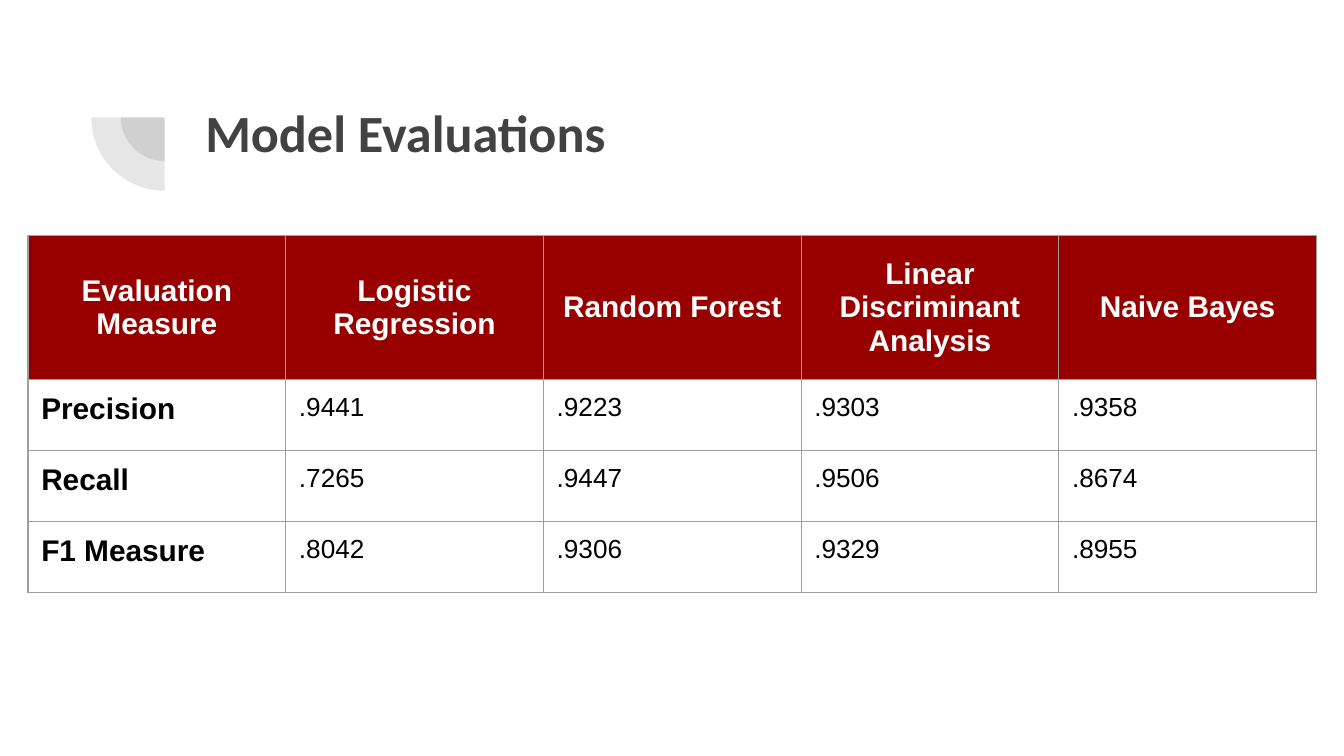
"""Build the model evaluation slide with its corner ornament, title and table."""
from dataclasses import dataclass

from lxml.etree import SubElement
from pptx import Presentation
from pptx.dml.color import RGBColor
from pptx.enum.shapes import MSO_SHAPE as Preset
from pptx.enum.text import MSO_ANCHOR as Anchor, PP_ALIGN as Align
from pptx.oxml.ns import qn
from pptx.util import Cm, Pt


@dataclass(frozen=True)
class Theme:
    ink: str = "424242"
    header: str = "980000"
    border: str = "9E9E9E"
    white: str = "FFFFFF"
    black: str = "000000"
    title_font: str = "Calibri"
    table_font: str = "Arial"
    title_size: int = 28
    label_size: int = 16
    value_size: int = 14
    border_width: float = 0.75
    ornament_opacity: int = 13


THEME = Theme()
INSET = Cm(0.25)
ROWS = [
    ["Evaluation Measure", "Logistic Regression", "Random Forest",
     "Linear Discriminant Analysis", "Naive Bayes"],
    ["Precision", ".9441", ".9223", ".9303", ".9358"],
    ["Recall", ".7265", ".9447", ".9506", ".8674"],
    ["F1 Measure", ".8042", ".9306", ".9329", ".8955"],
]


def set_margins(target):
    target.margin_left = target.margin_right = INSET
    target.margin_top = target.margin_bottom = INSET


def write(text_frame, text, font_name, size, color, bold):
    paragraph = text_frame.paragraphs[0]
    paragraph.text = text
    font = paragraph.font
    font.name, font.size, font.bold = font_name, Pt(size), bold
    font.color.rgb = RGBColor.from_string(color)
    return paragraph


def add_quarter(group, diameter):
    center_x, center_y = Cm(3.11), Cm(2.22)
    shape = group.shapes.add_shape(
        Preset.PIE, center_x - diameter // 2, center_y - diameter // 2,
        diameter, diameter)
    shape.rotation = 270
    shape.adjustments[0], shape.adjustments[1] = 108, 162
    shape.shadow.inherit = False
    shape.fill.solid()
    shape.fill.fore_color.rgb = RGBColor.from_string(THEME.ink)
    color = shape.fill._xPr.find(".//" + qn("a:srgbClr"))
    SubElement(color, qn("a:alpha"), val=str(THEME.ornament_opacity * 1000))
    shape.line.fill.background()


def add_ornament(slide):
    group = slide.shapes.add_group_shape()
    for diameter in (Cm(1.65), Cm(2.77)):
        add_quarter(group, diameter)


def add_title(slide, text):
    text_frame = slide.shapes.add_textbox(
        Cm(3.63), Cm(1.65), Cm(19.53), Cm(2.77)).text_frame
    text_frame.word_wrap = True
    set_margins(text_frame)
    write(text_frame, text, THEME.title_font, THEME.title_size, THEME.ink, True)


def add_borders(cell):
    properties = cell._tc.get_or_add_tcPr()
    for side in ("lnL", "lnR", "lnT", "lnB"):
        line = SubElement(properties, qn(f"a:{side}"), w=str(Pt(THEME.border_width)))
        fill = SubElement(line, qn("a:solidFill"))
        SubElement(fill, qn("a:srgbClr"), val=THEME.border)


def fill_cell(cell, text, is_header, is_label):
    set_margins(cell)
    add_borders(cell)
    size = THEME.label_size if is_label else THEME.value_size
    color = THEME.white if is_header else THEME.black
    paragraph = write(cell.text_frame, text, THEME.table_font, size, color, is_label)
    if is_header:
        paragraph.alignment = Align.CENTER
        cell.vertical_anchor = Anchor.MIDDLE
        cell.fill.solid()
        cell.fill.fore_color.rgb = RGBColor.from_string(THEME.header)
    else:
        cell.fill.background()


def add_evaluation_table(slide, rows):
    column_width, header_height, row_height = Cm(4.87), Cm(2.73), Cm(1.34)
    column_count, body_count = len(rows[0]), len(rows) - 1
    table = slide.shapes.add_table(
        len(rows), column_count, Cm(0.53), Cm(4.45), column_width * column_count,
        header_height + row_height * body_count).table
    table.horz_banding = False
    for column in table.columns:
        column.width = column_width
    for row_index, values in enumerate(rows):
        is_header = row_index == 0
        table.rows[row_index].height = header_height if is_header else row_height
        for column_index, text in enumerate(values):
            fill_cell(table.cell(row_index, column_index), text,
                      is_header, is_header or column_index == 0)


def main():
    presentation = Presentation()
    presentation.slide_width, presentation.slide_height = Cm(25.4), Cm(14.29)
    slide = presentation.slides.add_slide(presentation.slide_layouts[6])
    add_ornament(slide)
    add_title(slide, "Model Evaluations")
    add_evaluation_table(slide, ROWS)
    presentation.save("out.pptx")


if __name__ == "__main__":
    main()
